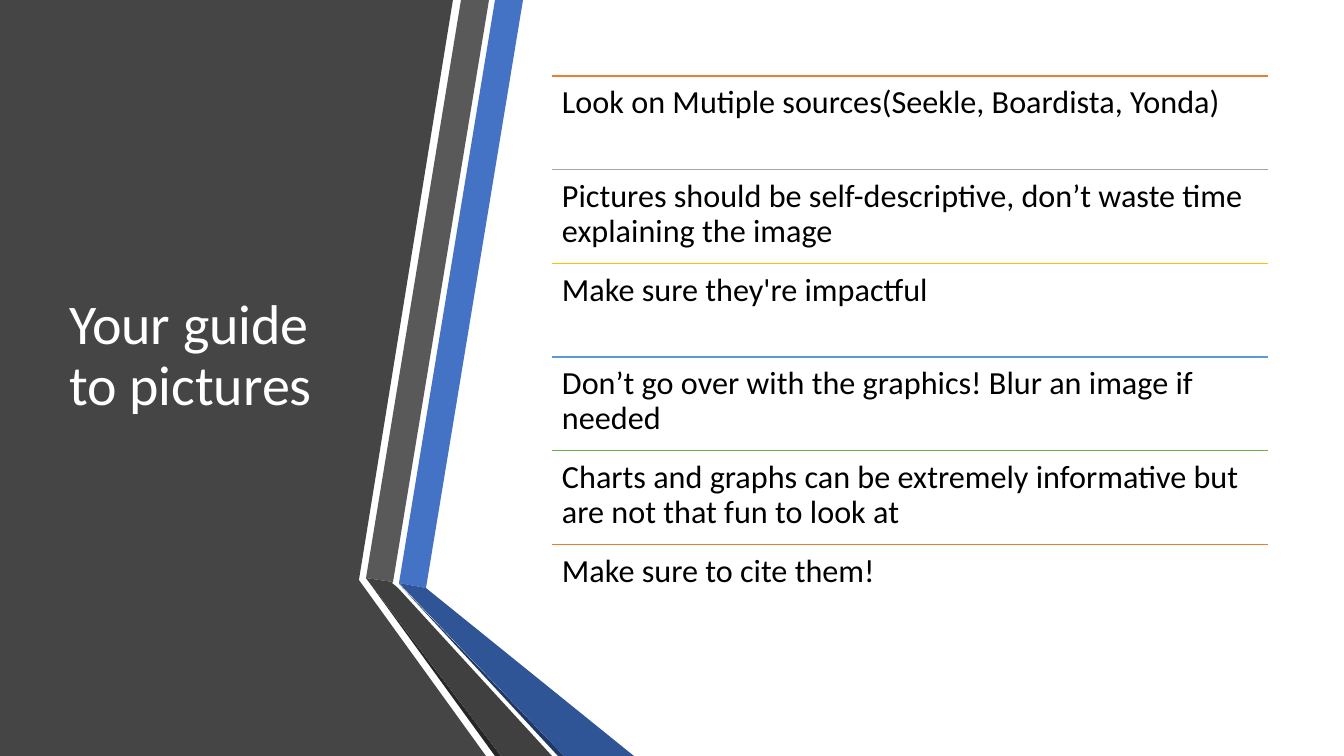
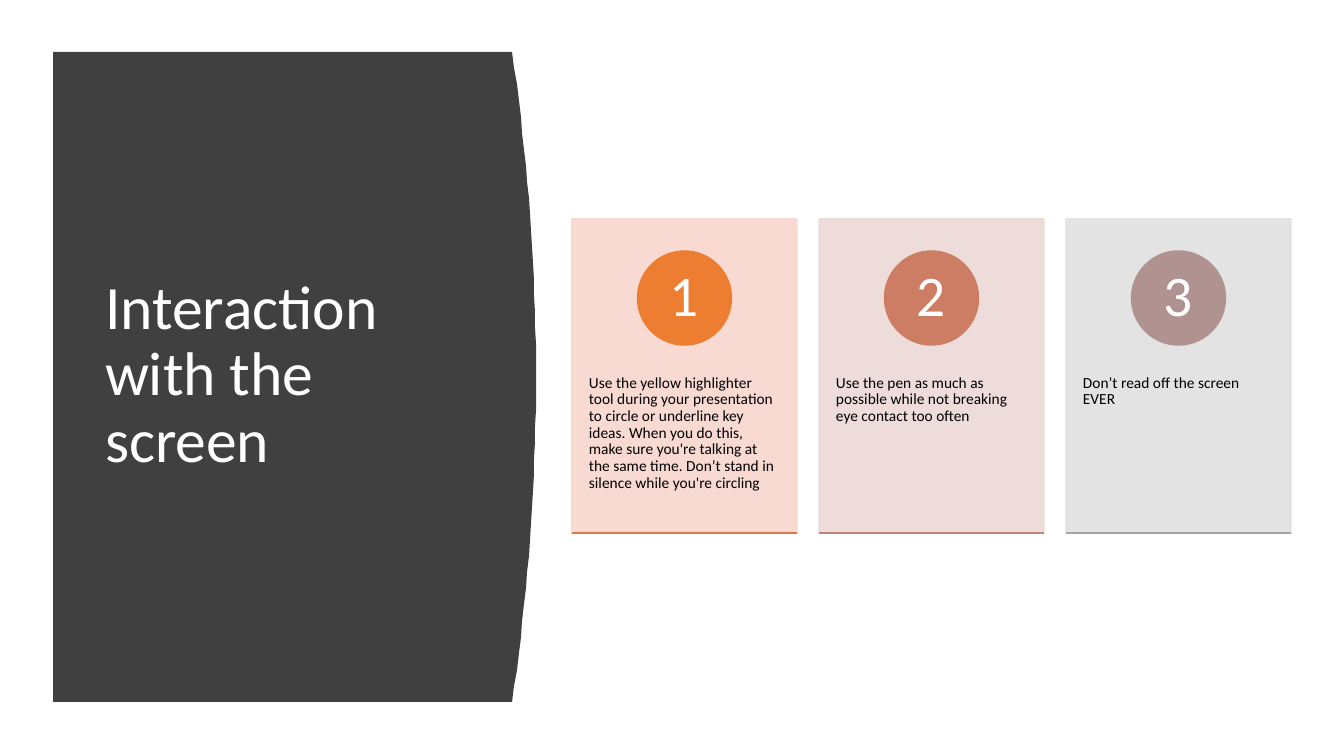
from lxml import etree
from pptx import Presentation
from pptx import util as u
from pptx.dml.color import RGBColor
from pptx.enum import shapes, text
from pptx.oxml.ns import qn

PX = 914400 / 100.8
WIDE, HIGH = 1344, 756
FONT = "Calibri"
WHITE, BLACK, DARK = "FFFFFF", "000000", "404040"
LEFT, MID = text.PP_ALIGN.LEFT, text.PP_ALIGN.CENTER

GUIDE = "Your guide to pictures"
TIPS = [
    ("ED7D31", "Look on Mutiple sources(Seekle, Boardista, Yonda)"),
    ("A5A5A5", "Pictures should be self-descriptive, don’t waste time explaining the image"),
    ("FFC000", "Make sure they're impactful"),
    ("5B9BD5", "Don’t go over with the graphics! Blur an image if needed"),
    ("70AD47", "Charts and graphs can be extremely informative but are not that fun to look at"),
    ("ED7D31", "Make sure to cite them!"),
]
BANDS = [
    ("454545", [(0, 0), (453, 0), (359, 580), (486, HIGH), (0, HIGH)]),
    ("4472C4", [(399, 583), (426, 588), (523, 0), (495, 0)]),
    ("595959", [(489, 0), (461, 0), (366, 578), (393, 582)]),
    ("262626", [(366, 578), (495, HIGH), (501, HIGH)]),
    ("203864", [(399, 584), (558, HIGH), (564, HIGH)]),
    ("2F5597", [(399, 583), (564, HIGH), (634, HIGH), (426, 588)]),
    (DARK, [(552, HIGH), (398, 588), (392, 583), (393, 582), (366, 578), (501, HIGH)]),
]

SCREEN = "Interaction with the screen"
CARDS = [  # card, circle and base line colours, then the advice
    ("F8D7CE", "ED7D31", "DC7A4B",
     "Use the yellow highlighter tool during your presentation to circle or underline "
     "key ideas. When you do this, make sure you're talking at the same time. "
     "Don’t stand in silence while you're circling"),
    ("EDD9D7", "CC7D64", "BD867B",
     "Use the pen as much as possible while not breaking eye contact too often"),
    ("E1E1E1", "B09391", "A5A5A5", "Don’t read off the screen EVER"),
]


def emu(*px):
    return [u.Emu(round(n * PX)) for n in px]


def rgb(code):
    return RGBColor.from_string(code)


def write(shape, words, size, color, pad, anchor, align=LEFT):
    """Fill a shape with one paragraph; pad is (sides, top and bottom) in px."""
    frame = shape.text_frame
    frame.text = words
    frame.word_wrap = True
    frame.auto_size = text.MSO_AUTO_SIZE.NONE
    frame.vertical_anchor = anchor
    side, edge = emu(*pad)
    frame.margin_left = frame.margin_right = side
    frame.margin_top = frame.margin_bottom = edge
    para = frame.paragraphs[0]
    para.alignment = align
    para.line_spacing = 0.9
    font = para.runs[0].font
    font.name, font.size = FONT, u.Pt(size)
    font.color.rgb = rgb(color)


def head(slide, words, box, size):
    """Place the title above everything drawn so far."""
    title = slide.shapes.title
    title.left, title.top, title.width, title.height = emu(*box)
    write(title, words, size, WHITE, (10, 5), text.MSO_ANCHOR.MIDDLE)
    slide.shapes._spTree.append(title._element)


def note(slide, words, box, size, pad):
    area = slide.shapes.add_textbox(*emu(*box))
    write(area, words, size, BLACK, pad, text.MSO_ANCHOR.TOP)


def outline(slide, points, color):
    form = slide.shapes.build_freeform(*points[0], scale=PX)
    form.add_line_segments(points[1:], close=True)
    shape = form.convert_to_shape()
    shape.shadow.inherit = False
    shape.fill.solid()
    shape.fill.fore_color.rgb = rgb(color)
    shape.line.fill.background()


def solid(slide, kind, box, color, alpha=100):
    shape = slide.shapes.add_shape(kind, *emu(*box))
    shape.shadow.inherit = False
    shape.fill.solid()
    shape.fill.fore_color.rgb = rgb(color)
    shape.line.color.rgb = rgb(color)
    shape.line.width = u.Pt(1)
    if alpha < 100:
        for tone in shape._element.spPr.iter(qn("a:srgbClr")):
            etree.SubElement(tone, qn("a:alpha"), val=str(alpha * 1000))
    return shape


def rule(slide, left, top, width, color):
    line = slide.shapes.add_connector(
        shapes.MSO_CONNECTOR.STRAIGHT, *emu(left, top, left + width, top))
    line.line.color.rgb = rgb(color)
    line.line.width = u.Pt(1)
    etree.SubElement(line._element.spPr, qn("a:effectLst"))


def guide(slide):
    for color, points in BANDS:
        outline(slide, points, color)
    head(slide, GUIDE, (59, 76, 306, 562), 40)
    left, top, width, height = 552, 76, 716, 562
    step = height / len(TIPS)
    for i, (color, words) in enumerate(TIPS):
        y = top + i * step
        rule(slide, left, y, width, color)
        note(slide, words, (left, y, width, step), 23, (10, 10))


def screen(slide):
    left, right, top, foot, bulge, steps = 53, 512, 52, 702, 24, 40
    curve = []
    for i in range(steps + 1):
        t = i / steps
        curve.append((right + bulge * 4 * t * (1 - t), top + (foot - top) * t))
    outline(slide, [(left, top), *curve, (left, foot)], DARK)
    head(slide, SCREEN, (95, 112, 377, 528), 44)

    left, top, width, height, step, disc = 572, 219, 225, 314, 247, 94
    for i, (back, round_, base, words) in enumerate(CARDS):
        x = left + i * step
        solid(slide, shapes.MSO_SHAPE.RECTANGLE, (x, top, width, height), back, 90)
        note(slide, words, (x, top + 120, width, 188), 11, (17, 36))
        spot = solid(slide, shapes.MSO_SHAPE.OVAL,
                     (x + (width - disc) / 2, top + 32, disc, disc), round_)
        write(spot, str(i + 1), 41, WHITE, (0, 0), text.MSO_ANCHOR.MIDDLE, MID)
        rule(slide, x, top + height, width, base)


def main():
    deck = Presentation()
    deck.slide_width, deck.slide_height = emu(WIDE, HIGH)
    for build in (guide, screen):
        build(deck.slides.add_slide(deck.slide_layouts[5]))
    deck.save("out.pptx")


if __name__ == "__main__":
    main()
